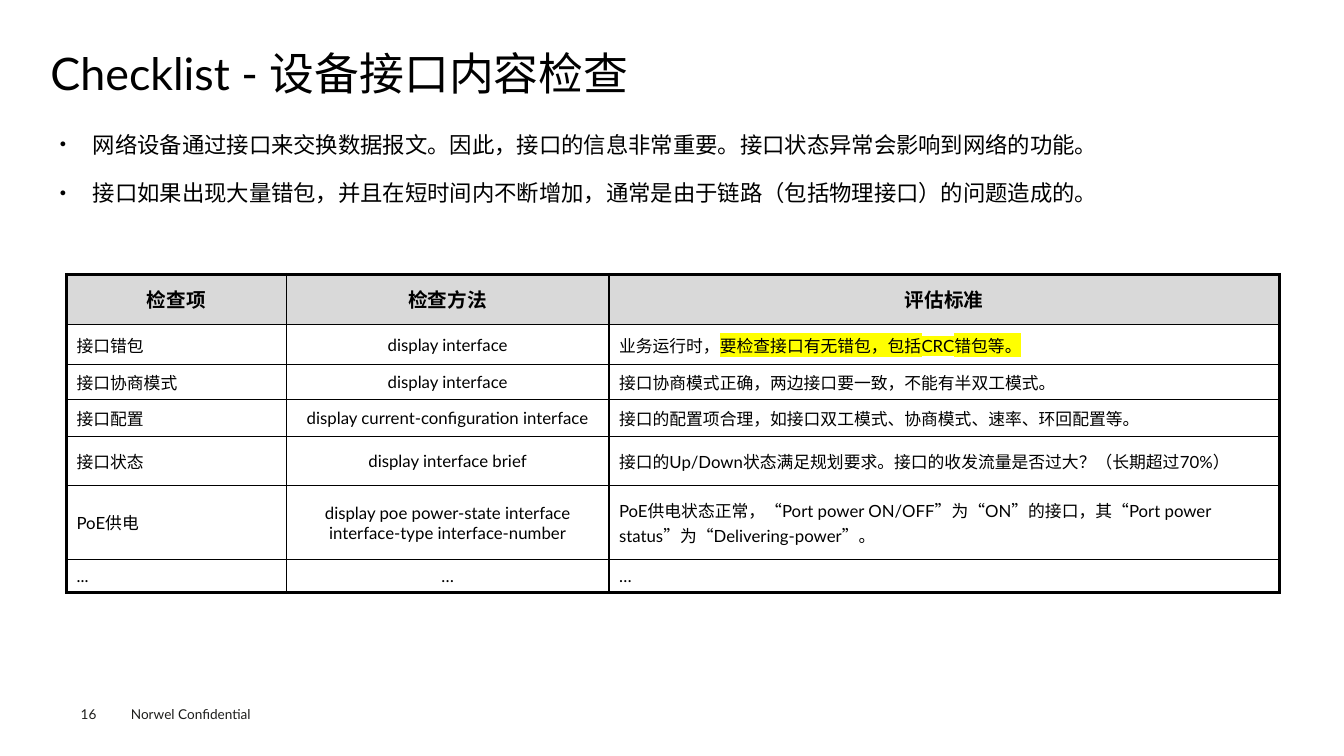
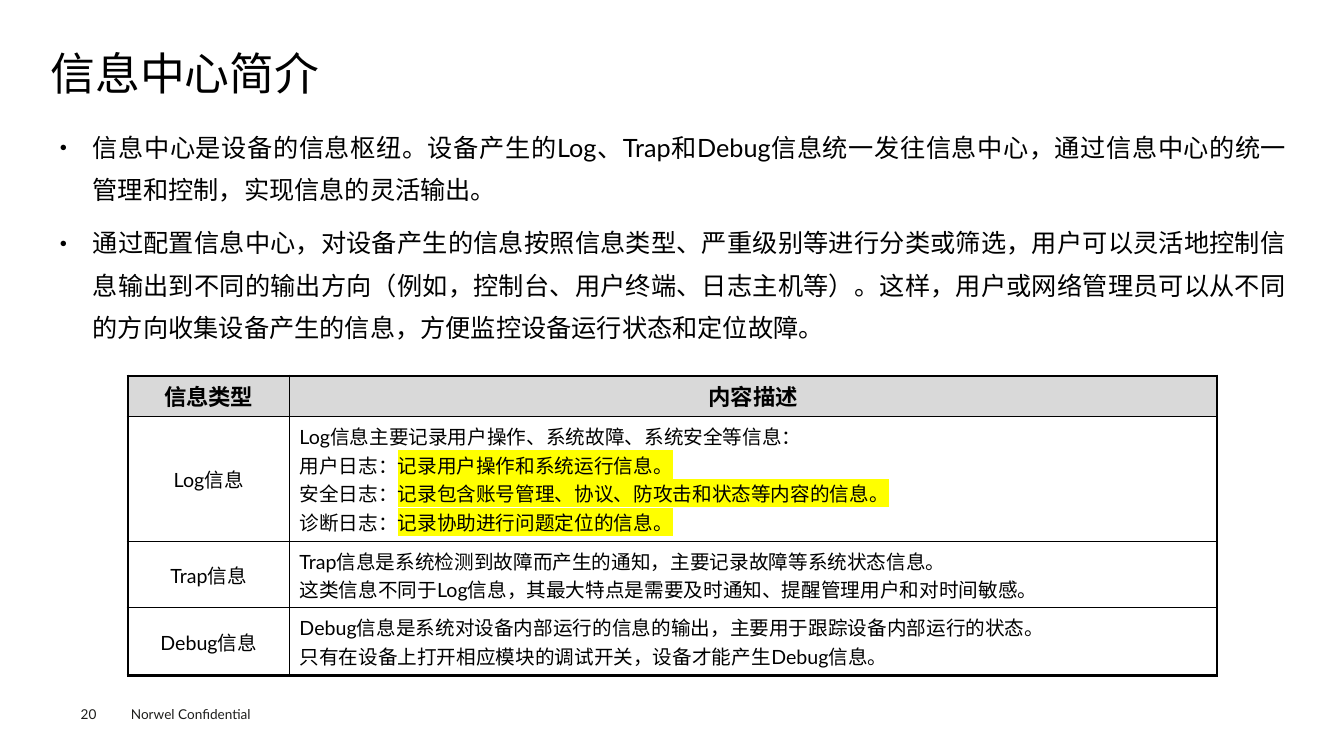
from lxml.etree import SubElement
from pptx import Presentation
from pptx.dml.color import RGBColor
from pptx.enum.text import MSO_ANCHOR, MSO_AUTO_SIZE, PP_ALIGN
from pptx.oxml.ns import qn
from pptx.util import Inches, Pt

COLORS = {"text": "000000", "footer": "1D1D1B", "border": "000000",
          "header": "D9D9D9", "marker": "FFFF00"}
FONT = "Lato"
FOOTER = "Norwel Confidential"
OUTER_BORDER, INNER_BORDER = 2.25, 1


def add_color(parent, tag, color):
    element = SubElement(parent, qn(tag))
    SubElement(element, qn("a:srgbClr")).set("val", COLORS[color])
    return element


def write(paragraph, text, size, color="text", bold=False, align=PP_ALIGN.LEFT,
          line_spacing=None, space_before=0, east_asian=None):
    """Fill a paragraph; every second piece between bars is highlighted."""
    paragraph.alignment = align
    paragraph.space_before = Pt(space_before)
    if line_spacing:
        paragraph.line_spacing = line_spacing
    for index, piece in enumerate(text.split("|")):
        run = paragraph.add_run()
        run.text = piece
        font = run.font
        font.size = Pt(size)
        font.bold = bold
        font.color.rgb = RGBColor.from_string(COLORS[color])
        properties = run._r.get_or_add_rPr()
        if index % 2:
            add_color(properties, "a:highlight", "marker")
        font.name = FONT
        if east_asian:
            SubElement(properties, qn("a:ea")).set("typeface", east_asian)


def write_lines(frame, lines, space_between=0, **style):
    for index, line in enumerate(lines):
        paragraph = frame.add_paragraph() if index else frame.paragraphs[0]
        write(paragraph, line, space_before=space_between if index else 0, **style)


def set_margins(target, horizontal, vertical):
    target.margin_left = target.margin_right = Inches(horizontal)
    target.margin_top = target.margin_bottom = Inches(vertical)


def place(shape, left, top, width, height):
    shape.left, shape.top = Inches(left), Inches(top)
    shape.width, shape.height = Inches(width), Inches(height)


def add_bullet(paragraph, indent=0.33):
    properties = paragraph._p.get_or_add_pPr()
    properties.set("marL", str(Inches(indent)))
    properties.set("indent", str(-Inches(indent)))
    SubElement(properties, qn("a:buSzPct")).set("val", "50000")
    SubElement(properties, qn("a:buChar")).set("char", "●")


def set_borders(cell, widths):
    """Draw the left, right, top and bottom borders, widths in points."""
    properties = cell._tc.get_or_add_tcPr()
    for side, width in zip("LRTB", widths):
        line = SubElement(properties, qn(f"a:ln{side}"))
        line.set("w", str(Pt(width)))
        add_color(line, "a:solidFill", "border")


class Deck:
    def __init__(self):
        self.presentation = Presentation()
        self.presentation.slide_width = Inches(13.33)
        self.presentation.slide_height = Inches(7.5)
        self.slide = None

    def add_slide(self, title, number):
        self.slide = self.presentation.slides.add_slide(
            self.presentation.slide_layouts[1])
        self.add_title(title)
        self.add_label(FOOTER, 1.2, 6.95, 1.6, 0.27, margins=(0.1, 0.05))
        self.add_label(str(number), 0.8, 7, 0.55, 0.16)

    def add_title(self, text):
        shape = self.slide.shapes.title
        place(shape, 0.5, 0.49, 12.35, 0.53)
        frame = shape.text_frame
        frame.auto_size = MSO_AUTO_SIZE.NONE
        frame.vertical_anchor = MSO_ANCHOR.MIDDLE
        set_margins(frame, 0, 0)
        write(frame.paragraphs[0], text, size=32, line_spacing=0.9, east_asian=FONT)

    def add_label(self, text, left, top, width, height, margins=(0, 0)):
        shape = self.slide.shapes.add_textbox(
            Inches(left), Inches(top), Inches(width), Inches(height))
        frame = shape.text_frame
        frame.word_wrap = True
        set_margins(frame, *margins)
        write(frame.paragraphs[0], text, size=9.7, color="footer")

    def add_bullets(self, lines, size):
        shape = self.slide.placeholders[1]
        place(shape, 0.5, 1.15, 12.35, 5.34)
        frame = shape.text_frame
        frame.auto_size = MSO_AUTO_SIZE.NONE
        set_margins(frame, 0.09, 0.04)
        write_lines(frame, lines, space_between=7.9, size=size, line_spacing=1.4,
                    align=PP_ALIGN.JUSTIFY, east_asian=FONT)
        for paragraph in frame.paragraphs:
            add_bullet(paragraph)

    def add_table(self, rows, left, top, widths, heights, header_size, size,
                  centered_column, tight_margins):
        """Add a bordered table whose first row is a shaded header."""
        table = self.slide.shapes.add_table(
            len(rows), len(widths), Inches(left), Inches(top),
            Inches(sum(widths)), Inches(sum(heights))).table
        table.first_row = table.horz_banding = False
        for column, width in zip(table.columns, widths):
            column.width = Inches(width)
        last_row, last_column = len(rows) - 1, len(widths) - 1
        for row_index, texts in enumerate(rows):
            table.rows[row_index].height = Inches(heights[row_index])
            is_header = row_index == 0
            for column_index, text in enumerate(texts):
                cell = table.cell(row_index, column_index)
                centered = is_header or column_index == centered_column
                cell.vertical_anchor = MSO_ANCHOR.MIDDLE
                set_margins(cell, *(tight_margins if centered else (0.1, 0.05)))
                edges = (column_index == 0, column_index == last_column,
                         is_header, row_index == last_row)
                set_borders(cell, [OUTER_BORDER if edge else INNER_BORDER
                                   for edge in edges])
                if is_header:
                    cell.fill.solid()
                    cell.fill.fore_color.rgb = RGBColor.from_string(COLORS["header"])
                else:
                    cell.fill.background()
                write_lines(cell.text_frame, text.split("\n"),
                            size=header_size if is_header else size, bold=is_header,
                            align=PP_ALIGN.CENTER if centered else PP_ALIGN.LEFT)


def add_interface_checklist(deck):
    deck.add_slide("Checklist - 设备接口内容检查", 16)
    deck.add_bullets([
        "网络设备通过接口来交换数据报文。因此，接口的信息非常重要。接口状态异常会影响到网络的功能。",
        "接口如果出现大量错包，并且在短时间内不断增加，通常是由于链路（包括物理接口）的问题造成的。",
    ], size=16)
    deck.add_table([
        ("检查项", "检查方法", "评估标准"),
        ("接口错包", "display interface", "业务运行时，|要检查接口有无错包，包括CRC错包等。"),
        ("接口协商模式", "display interface",
         "接口协商模式正确，两边接口要一致，不能有半双工模式。"),
        ("接口配置", "display current-configuration interface",
         "接口的配置项合理，如接口双工模式、协商模式、速率、环回配置等。"),
        ("接口状态", "display interface brief",
         "接口的Up/Down状态满足规划要求。接口的收发流量是否过大？（长期超过70%）"),
        ("PoE供电", "display poe power-state interface interface-type interface-number",
         "PoE供电状态正常，“Port power ON/OFF”为“ON”的接口，"
         "其“Port power status”为“Delivering-power”。"),
        ("...", "…", "…"),
    ], left=0.66, top=2.72, widths=[2.18, 3.2, 6.65],
        heights=[0.5, 0.4, 0.34, 0.37, 0.49, 0.73, 0.33],
        header_size=14, size=12, centered_column=1, tight_margins=(0.01, 0.01))


def add_information_center(deck):
    deck.add_slide("信息中心简介", 20)
    deck.add_bullets([
        "信息中心是设备的信息枢纽。设备产生的Log、Trap和Debug信息统一发往信息中心，"
        "通过信息中心的统一管理和控制，实现信息的灵活输出。",
        "通过配置信息中心，对设备产生的信息按照信息类型、严重级别等进行分类或筛选，"
        "用户可以灵活地控制信息输出到不同的输出方向（例如，控制台、用户终端、日志主机等）。"
        "这样，用户或网络管理员可以从不同的方向收集设备产生的信息，"
        "方便监控设备运行状态和定位故障。",
    ], size=18)
    deck.add_table([
        ("信息类型", "内容描述"),
        ("Log信息", "Log信息主要记录用户操作、系统故障、系统安全等信息：\n"
                  "用户日志：|记录用户操作和系统运行信息。\n"
                  "安全日志：|记录包含账号管理、协议、防攻击和状态等内容的信息。\n"
                  "诊断日志：|记录协助进行问题定位的信息。"),
        ("Trap信息", "Trap信息是系统检测到故障而产生的通知，主要记录故障等系统状态信息。\n"
                   "这类信息不同于Log信息，其最大特点是需要及时通知、提醒管理用户和对时间敏感。"),
        ("Debug信息", "Debug信息是系统对设备内部运行的信息的输出，主要用于跟踪设备内部运行的状态。\n"
                    "只有在设备上打开相应模块的调试开关，设备才能产生Debug信息。"),
    ], left=1.27, top=3.73, widths=[1.6, 9.2], heights=[0.4, 1.24, 0.66, 0.67],
        header_size=16, size=14, centered_column=0, tight_margins=(0.04, 0.04))


def main():
    deck = Deck()
    add_interface_checklist(deck)
    add_information_center(deck)
    deck.presentation.save("out.pptx")


if __name__ == "__main__":
    main()
